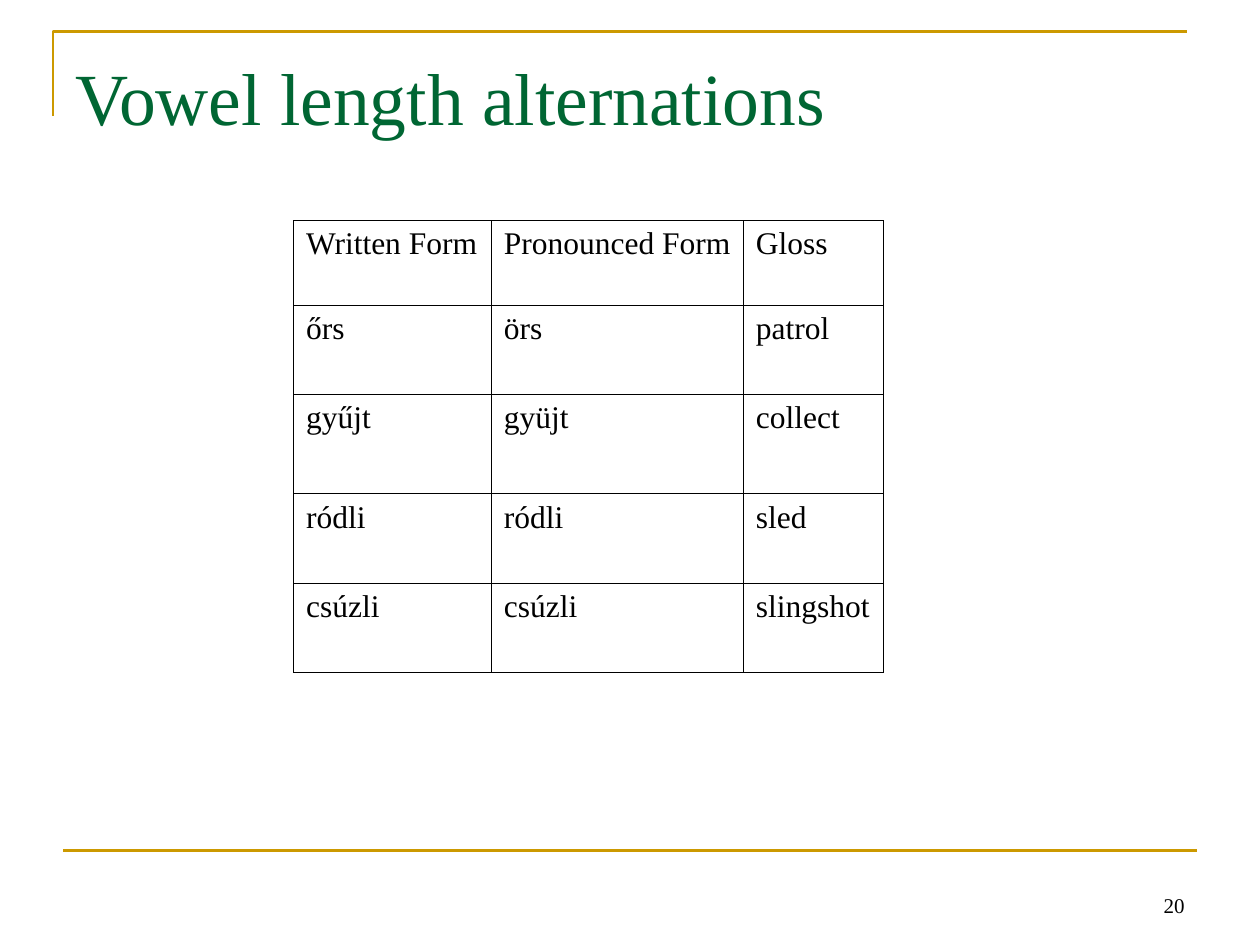
from lxml.etree import SubElement as Sub
from pptx import Presentation
from pptx.dml.color import RGBColor
from pptx.enum.shapes import MSO_CONNECTOR as Conn
from pptx.enum.text import MSO_ANCHOR as Anchor, MSO_AUTO_SIZE as Fit, PP_ALIGN as Align
from pptx.oxml.ns import qn
from pptx.util import Inches, Pt

FONT = "Times New Roman"
GOLD, GREEN, BLACK = "CC9900", "006633", "000000"
ROWS = [
    ("Written Form", "Pronounced Form", "Gloss"),
    ("őrs", "örs", "patrol"),
    ("gyűjt", "gyüjt", "collect"),
    ("ródli", "ródli", "sled"),
    ("csúzli", "csúzli", "slingshot"),
]
WIDTHS = (1.57, 2, 1.11)
HEIGHTS = (0.67, 0.71, 0.79, 0.71, 0.71)


def color(code):
    return RGBColor.from_string(code)


def write(frame, text, size=18, tint=BLACK, align=Align.LEFT, anchor=Anchor.TOP):
    frame.word_wrap = True
    frame.vertical_anchor = anchor
    para = frame.paragraphs[0]
    para.alignment = align
    run = para.add_run()
    run.text = text
    run.font.name = FONT
    run.font.size = Pt(size)
    run.font.color.rgb = color(tint)


def place(shape, left, top, width, height):
    shape.left, shape.top = Inches(left), Inches(top)
    shape.width, shape.height = Inches(width), Inches(height)


def stroke(shape):
    shape.line.color.rgb = color(GOLD)
    shape.line.width = Pt(1.5)


def add_frame(slide):
    # Corner rule above the title
    pen = slide.shapes.build_freeform(Inches(0.42), Inches(0.92))
    pen.add_line_segments(
        [(Inches(0.42), Inches(0.25)), (Inches(9.42), Inches(0.25))], close=False)
    corner = pen.convert_to_shape()
    corner.shadow.inherit = False
    corner.fill.background()
    stroke(corner)
    # Rule above the footer
    rule = slide.shapes.add_connector(
        Conn.STRAIGHT, Inches(0.5), Inches(6.75), Inches(9.5), Inches(6.75))
    stroke(rule)
    Sub(rule._element.spPr, qn("a:effectLst"))


def add_title(slide, text):
    title = slide.shapes.title
    place(title, 0.5, 0.3, 9, 1.25)
    frame = title.text_frame
    frame.auto_size = Fit.NONE
    frame.margin_top = Inches(0.11)
    write(frame, text, size=42, tint=GREEN)


def add_border(cell):
    props = cell._tc.get_or_add_tcPr()
    for side in ("lnL", "lnR", "lnT", "lnB"):
        line = Sub(props, qn("a:" + side), w=str(Pt(0.45)))
        fill = Sub(line, qn("a:solidFill"))
        Sub(fill, qn("a:srgbClr"), val=BLACK)


def add_grid(slide):
    table = slide.shapes.add_table(
        len(ROWS), len(WIDTHS), Inches(2.33), Inches(1.75),
        Inches(sum(WIDTHS)), Inches(sum(HEIGHTS))).table
    table.first_row = table.horz_banding = False
    for col, width in zip(table.columns, WIDTHS):
        col.width = Inches(width)
    for row, height, words in zip(table.rows, HEIGHTS, ROWS):
        row.height = Inches(height)
        for cell, word in zip(row.cells, words):
            add_border(cell)
            cell.fill.background()
            write(cell.text_frame, word)


def add_number(slide, text):
    box = slide.shapes.add_textbox(
        Inches(7.17), Inches(6.83), Inches(2.33), Inches(0.5))
    write(box.text_frame, text, size=12, align=Align.RIGHT, anchor=Anchor.BOTTOM)


def main():
    deck = Presentation()
    deck.slide_width, deck.slide_height = Inches(10), Inches(7.5)
    slide = deck.slides.add_slide(deck.slide_layouts[5])
    add_frame(slide)
    add_title(slide, "Vowel length alternations")
    add_grid(slide)
    add_number(slide, "20")
    deck.save("out.pptx")


if __name__ == "__main__":
    main()
